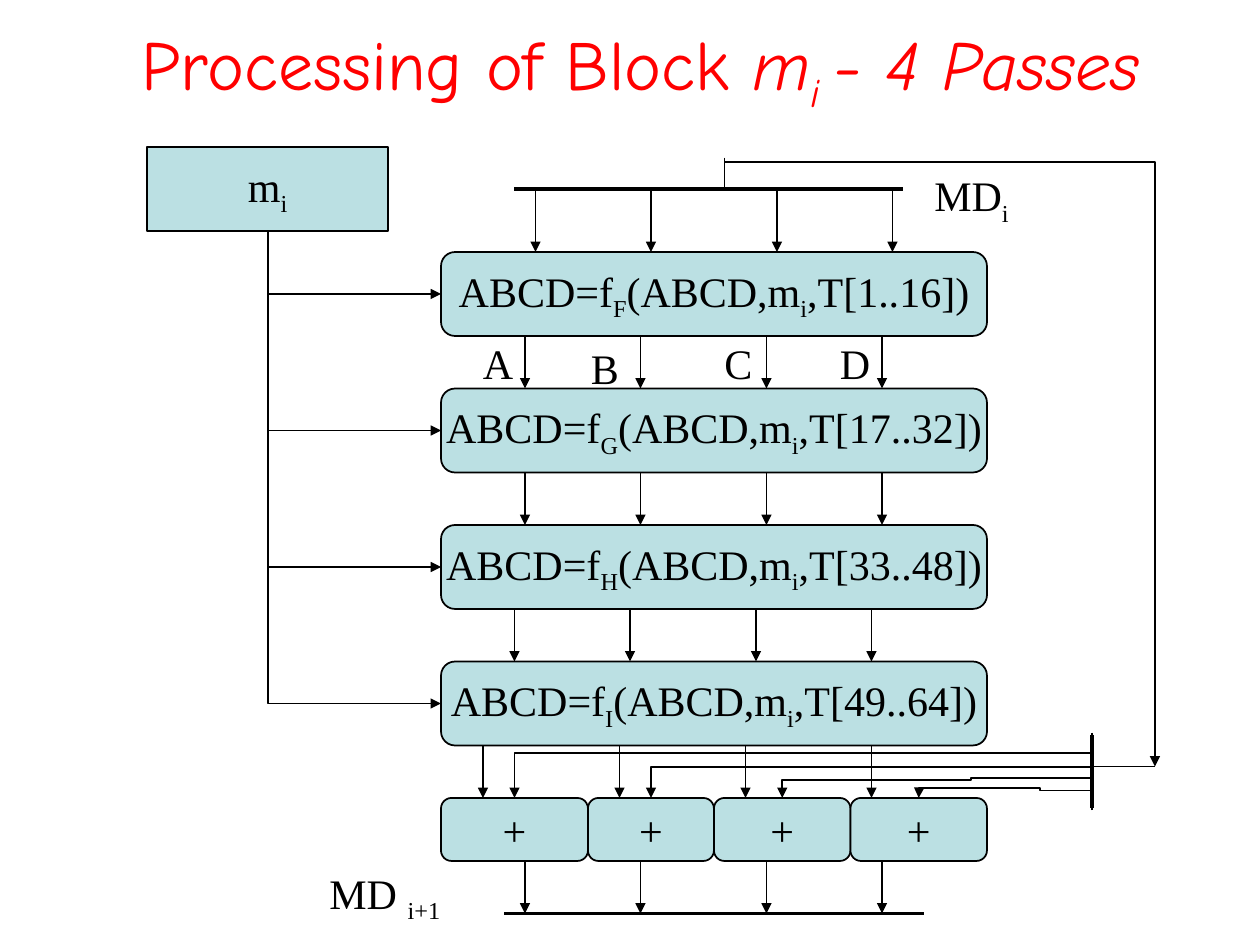
from itertools import accumulate
from lxml.etree import SubElement
from pptx import Presentation
from pptx.dml.color import RGBColor
from pptx.enum.shapes import MSO_CONNECTOR, MSO_SHAPE
from pptx.enum.text import MSO_ANCHOR, MSO_AUTO_SIZE, PP_ALIGN
from pptx.oxml.ns import qn
from pptx.util import Inches, Pt

HUES = {"title": "FF0000", "ink": "000000", "box": "BBE0E3"}
BODY, HEAD = "Times New Roman", "Comic Neue"
COLS, ROWS = 120, 90
LANES = (50, 61, 73, 84)
LEFT, WIDE = 42, 52


def unit(n):
    """Turn grid steps into a length, twelve steps to the inch."""
    return Inches(n / 12)


def hue(name):
    """Look up a named colour."""
    return RGBColor.from_string(HUES[name])


def write(shape, runs, align, size=24, font=BODY, color="ink", slant=None):
    """Fill a shape with runs, every second one a subscript."""
    para = shape.text_frame.paragraphs[0]
    para.alignment = align
    for n, text in enumerate(runs):
        run = para.add_run()
        run.text = text
        run.font.size = Pt(size)
        run.font.name = font
        run.font.color.rgb = hue(color)
        if slant is not None and n >= slant:
            run.font.italic = True
        if n % 2:
            run._r.get_or_add_rPr().set("baseline", "-25000")
    return para


def title(shapes):
    """Add the slide heading."""
    box = shapes.add_textbox(unit(6), unit(0), unit(110), unit(13))
    frame = box.text_frame
    frame.word_wrap = True
    frame.vertical_anchor = MSO_ANCHOR.MIDDLE
    para = box.text_frame.paragraphs[0]
    para.space_before, para.space_after = Pt(12), Pt(3)
    para.add_run().text = "Processing of Block "
    para.add_run().text = "m"
    para.add_run().text = "i "
    para.add_run().text = "- 4 Passes"
    for n, run in enumerate(para.runs):
        run.font.size, run.font.name = Pt(40), HEAD
        run.font.color.rgb = hue("title")
        run.font.italic = n > 0
    para.runs[2]._r.get_or_add_rPr().set("baseline", "-25000")
    para.alignment = PP_ALIGN.CENTER


def label(shapes, x, y, w, h, *runs):
    """Add a free text label."""
    box = shapes.add_textbox(unit(x), unit(y), unit(w), unit(h))
    box.text_frame.word_wrap = False
    box.text_frame.auto_size = MSO_AUTO_SIZE.SHAPE_TO_FIT_TEXT
    write(box, runs, PP_ALIGN.LEFT)


def block(shapes, x, y, w, h, *runs, kind=MSO_SHAPE.FLOWCHART_ALTERNATE_PROCESS):
    """Add a filled box with centred text."""
    box = shapes.add_shape(kind, unit(x), unit(y), unit(w), unit(h))
    box.shadow.inherit = False
    box.fill.solid()
    box.fill.fore_color.rgb = hue("box")
    box.line.color.rgb = hue("ink")
    box.line.width = Pt(1)
    box.text_frame.word_wrap = False
    box.text_frame.vertical_anchor = MSO_ANCHOR.MIDDLE
    write(box, runs, PP_ALIGN.CENTER)


def ink(wire, weight, arrow):
    """Give a connector its stroke and arrowhead."""
    wire.line.color.rgb = hue("ink")
    wire.line.width = Pt(weight)
    if arrow:
        SubElement(wire.line._get_or_add_ln(), qn("a:tailEnd"), type="triangle")
    SubElement(wire._element.spPr, qn("a:effectLst"))


def line(shapes, x, y, right, low, weight=1, arrow=False):
    """Add a straight line."""
    ends = [unit(n) for n in (x, y, right, low)]
    ink(shapes.add_connector(MSO_CONNECTOR.STRAIGHT, *ends), weight, arrow)


def drops(shapes, lanes, top, low):
    """Add a row of downward arrows."""
    for x in lanes:
        line(shapes, x, top, x, low, arrow=True)


def elbow(shapes, start, end, bends, turn=270, flip=None, adjust=()):
    """Add a bent arrow whose frame is a quarter turn from its path."""
    (x, y), (right, low) = start, end
    wide, high = abs(low - y), abs(right - x)
    left, top = (x + right - wide) / 2, (y + low - high) / 2
    ends = [unit(n) for n in (left, top, left + wide, top + high)]
    wire = shapes.add_connector(MSO_CONNECTOR.ELBOW, *ends)
    frame = wire._element.spPr.find(qn("a:xfrm"))
    frame.set("rot", str(turn * 60000))
    if flip:
        frame.set(flip, "1")
    geom = wire._element.spPr.find(qn("a:prstGeom"))
    geom.set("prst", f"bentConnector{bends}")
    for n, share in enumerate(adjust, 1):
        SubElement(geom.find(qn("a:avLst")), qn("a:gd"),
                   name=f"adj{n}", fmla=f"val {round(share * 100000)}")
    ink(wire, 1, True)


def passes(shapes):
    """Add the four passes and the block that feeds them."""
    block(shapes, 14, 14, 23, 8, "m", "i", kind=MSO_SHAPE.RECTANGLE)
    for n, name in enumerate("FGHI"):
        top = 24 + 13 * n
        span = f",T[{16 * n + 1}..{16 * n + 16}])"
        block(shapes, LEFT, top, WIDE, 8, "ABCD=f", name, "(ABCD,m", "i", span)
        elbow(shapes, (25.5, 22), (LEFT, top + 4), 2, flip="flipH")
    for top, shift in ((32, 0), (45, 0), (58, -1)):
        drops(shapes, [x + shift for x in LANES], top, top + 5)
    for name, x, y in (("A", 44.8, 31.6), ("B", 55.1, 32),
                       ("C", 67.8, 31.6), ("D", 78.8, 31.6)):
        label(shapes, x, y, 5.2, 6, name)


def sums(shapes):
    """Add the adders with their inputs and outputs."""
    widths = (14, 12, 13, 13)
    for x, w in zip(accumulate(widths, initial=LEFT), widths):
        block(shapes, x, 76, w, 6, "+")
    drops(shapes, (46, 59, 71, 83), 71, 76)
    drops(shapes, LANES, 82, 87)
    for x, share in ((49, 0.31), (62, 0.52)):
        elbow(shapes, (104, 69.8), (x, 76), 3, 90, adjust=(share,))
    for x, shares in ((74.5, (2.66, 0.39, 2.45)), (87.5, (1.61, 0.3, 1.82))):
        elbow(shapes, (104, 77.16), (x, 76), 5, flip="flipV", adjust=shares)


def digest(shapes):
    """Add the digest bars, labels and feed-forward path."""
    for ends in ((49, 18, 86, 18), (48, 87, 88, 87), (104, 70, 104, 77)):
        line(shapes, *ends, weight=2.25)
    label(shapes, 87.8, 15.6, 9.5, 6.7, "MD", "i")
    label(shapes, 30.2, 82, 13, 6.7, "MD ", "i+1")
    drops(shapes, (51, 62, 74, 85), 18, 24)
    line(shapes, 69, 15, 69, 18)
    line(shapes, 104, 73, 110, 73)
    elbow(shapes, (69, 16), (110, 73), 3, flip="flipH", adjust=(-0.01,))


def main():
    """Build and save the slide."""
    deck = Presentation()
    deck.slide_width, deck.slide_height = unit(COLS), unit(ROWS)
    shapes = deck.slides.add_slide(deck.slide_layouts[6]).shapes
    for part in (title, passes, sums, digest):
        part(shapes)
    deck.save("out.pptx")


if __name__ == "__main__":
    main()
